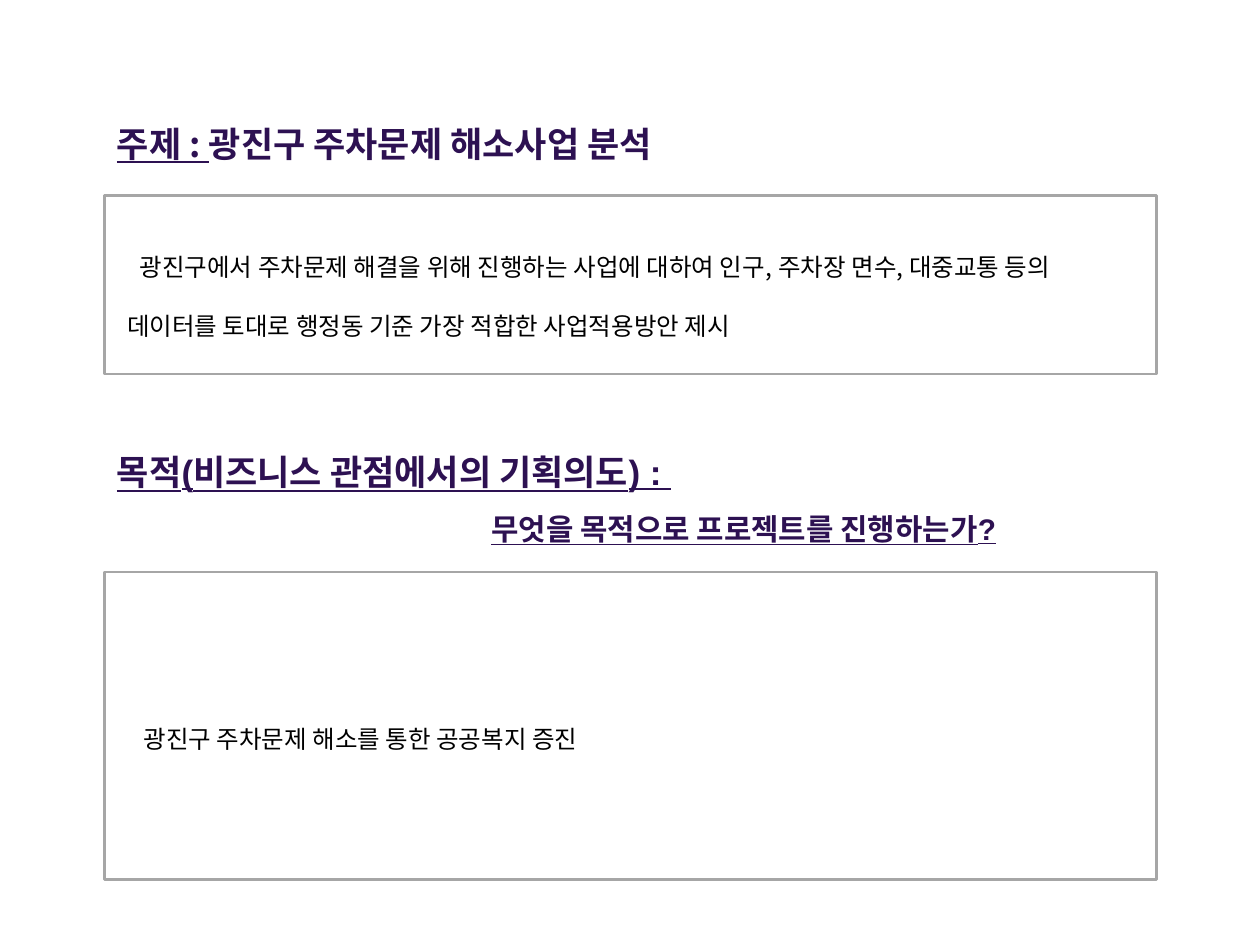
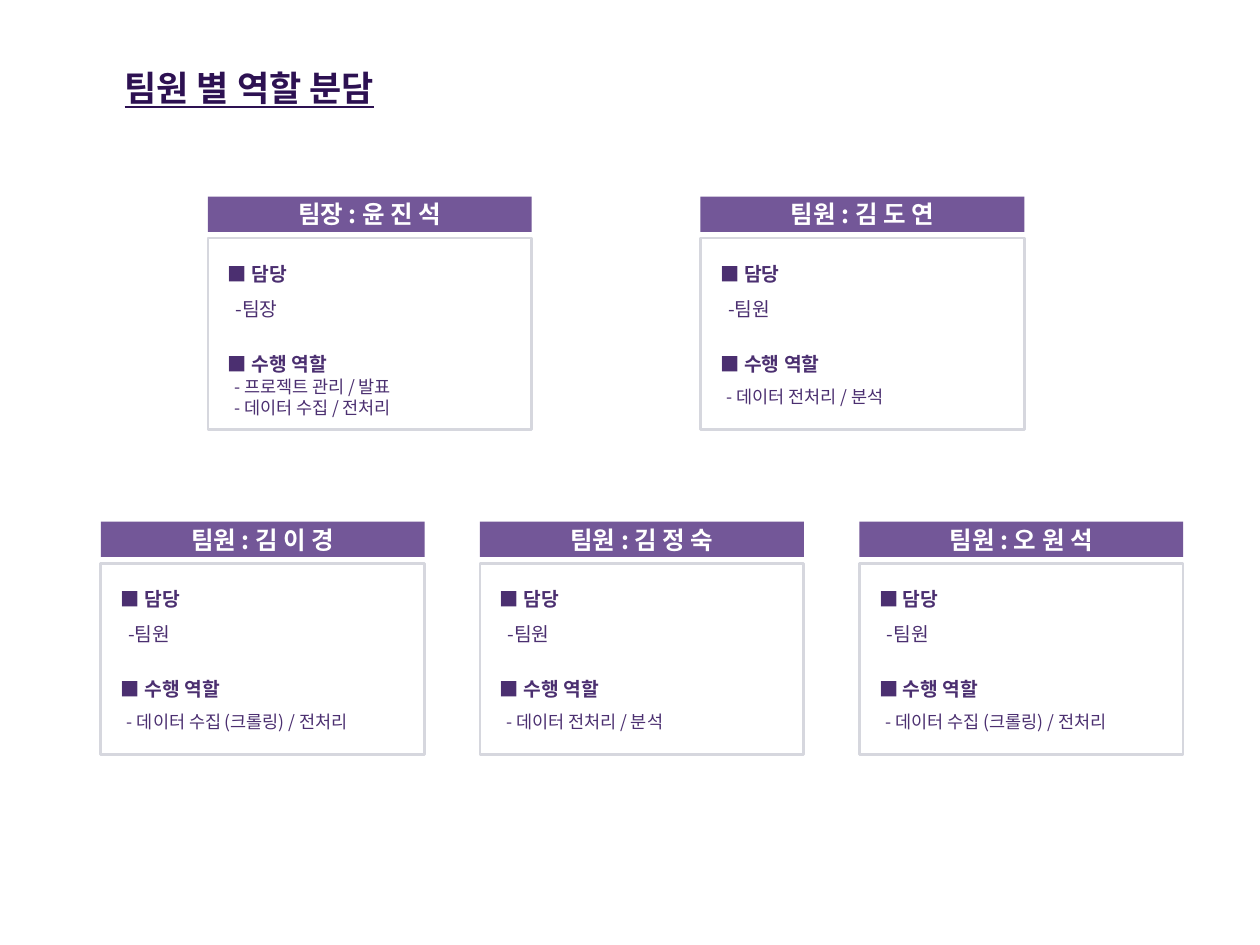
from lxml import etree
from pptx import Presentation
from pptx.dml.color import RGBColor
from pptx.enum.shapes import MSO_SHAPE
from pptx.enum.text import MSO_ANCHOR, PP_ALIGN
from pptx.oxml.ns import qn
from pptx.util import Inches, Pt

RECT = MSO_SHAPE.RECTANGLE
MIDDLE = MSO_ANCHOR.MIDDLE
CENTER = PP_ALIGN.CENTER

COLORS = {
    "title": "2D1152",
    "body": "000000",
    "frame": "A6A6A6",
    "band": "735798",
    "band_text": "FFFFFF",
    "card_line": "D6D7DE",
    "card_text": "4B2F70",
}
KOREAN = "Noto Sans CJK KR"
LATIN = "Arial"

CARD_W = 2.57
# Each row: left of the first card, top, step between cards, members
TEAM_ROWS = [
    (1.65, 1.56, 3.91, [
        ("팀장", "윤 진 석", ["프로젝트 관리 / 발표", "데이터 수집 / 전처리"]),
        ("팀원", "김 도 연", ["데이터 전처리 / 분석"]),
    ]),
    (0.8, 4.14, 3.01, [
        ("팀원", "김 이 경", ["데이터 수집 (크롤링) / 전처리"]),
        ("팀원", "김 정 숙", ["데이터 전처리 / 분석"]),
        ("팀원", "오 원 석", ["데이터 수집 (크롤링) / 전처리"]),
    ]),
]


def rgb(name):
    return RGBColor.from_string(COLORS[name])


def add_run(p, text, size, color, bold=False, underline=False, font=KOREAN):
    r = p.add_run()
    r.text = text
    r.font.size = Pt(size)
    r.font.bold = bold
    r.font.underline = underline
    r.font.color.rgb = rgb(color)
    r.font.name = font
    east_asian = etree.SubElement(r.font._element, qn("a:ea"))
    east_asian.set("typeface", KOREAN)


def add_title_run(p, text, size=20, underline=True, font=LATIN):
    add_run(p, text, size, "title", True, underline, font)


def add_text_box(slide, x, y, w, h, wrap=True):
    tf = slide.shapes.add_textbox(Inches(x), Inches(y), Inches(w), Inches(h)).text_frame
    tf.word_wrap = wrap
    return tf


def next_paragraph(tf, spacing=1.0, indent=0):
    """Return the unused first paragraph or a new one, with a first-line indent."""
    p = tf.paragraphs[0]
    if p.runs:
        p = tf.add_paragraph()
    p.line_spacing = spacing
    if indent:
        p._p.get_or_add_pPr().set("indent", str(Inches(indent)))
    return p


def add_rect(slide, x, y, w, h, fill=None, line=None):
    sp = slide.shapes.add_shape(RECT, Inches(x), Inches(y), Inches(w), Inches(h))
    sp.shadow.inherit = False
    if fill:
        sp.fill.solid()
        sp.fill.fore_color.rgb = rgb(fill)
    else:
        sp.fill.background()
    if line:
        sp.line.color.rgb = rgb(line)
        sp.line.width = Pt(1.5)
    else:
        sp.line.fill.background()
    return sp


def add_statement(slide, x, y, w, h, text):
    tf = add_text_box(slide, x, y, w, h)
    add_run(next_paragraph(tf, 2.0, 0.1), text, 14, "body")


def build_topic_slide(slide):
    left, width = 0.83, 8.35

    p = next_paragraph(add_text_box(slide, left, 0.92, 6.99, 0.44))
    add_title_run(p, "주제 : ", font=KOREAN)
    add_title_run(p, "광진구 주차문제 해소사업 분석", underline=False, font=KOREAN)
    for top, height in ((1.55, 1.42), (4.54, 2.44)):
        add_rect(slide, left, top, width, height, line="frame")

    tf = add_text_box(slide, left, 3.36, width, 1.04)
    add_title_run(next_paragraph(tf, 1.5), "목적(비즈니스 관점에서의 기획의도) : ")
    add_title_run(next_paragraph(tf, 1.5, 2.97), "무엇을 목적으로 프로젝트를 진행하는가?", 17)

    add_statement(slide, 0.91, 1.72, 8.19, 0.97,
                  "광진구에서 주차문제 해결을 위해 진행하는 사업에 대하여 인구, 주차장 면수, "
                  "대중교통 등의 데이터를 토대로 행정동 기준 가장 적합한 사업적용방안 제시")
    add_statement(slide, 0.94, 5.46, 8.19, 0.5, "광진구 주차문제 해소를 통한 공공복지 증진")


def add_member_card(slide, x, y, role, name, tasks):
    band = add_rect(slide, x, y, CARD_W, 0.28, fill="band")
    band.text_frame.vertical_anchor = MIDDLE
    p = next_paragraph(band.text_frame)
    p.alignment = CENTER
    add_run(p, f"{role} : {name}", 14, "band_text", bold=True)

    add_rect(slide, x, y + 0.33, CARD_W, 1.52, line="card_line")

    tf = add_text_box(slide, x + 0.06, y + 0.38, CARD_W - 0.1, 1.42)
    add_run(next_paragraph(tf, 1.5), "■ 담당", 11, "card_text", bold=True)
    add_run(next_paragraph(tf, 1.5, 0.06), f"-{role}", 11, "card_text")
    p = next_paragraph(tf, 1.5)
    p.space_before = Pt(12)
    add_run(p, "■ 수행 역할", 11, "card_text", bold=True)
    task_spacing = 1.5 if len(tasks) == 1 else 1.0
    for task in tasks:
        add_run(next_paragraph(tf, task_spacing, 0.05), f"- {task}", 10, "card_text")


def build_team_slide(slide):
    tf = add_text_box(slide, 0.89, 0.48, 2.46, 0.44, wrap=False)
    add_title_run(next_paragraph(tf), "팀원 별 역할 분담")
    for left, top, step, members in TEAM_ROWS:
        for i, member in enumerate(members):
            add_member_card(slide, left + i * step, top, *member)


def main():
    prs = Presentation()
    prs.slide_width, prs.slide_height = Inches(10), Inches(7.5)
    blank = prs.slide_layouts[6]
    for build in (build_topic_slide, build_team_slide):
        build(prs.slides.add_slide(blank))
    prs.save("out.pptx")


if __name__ == "__main__":
    main()
